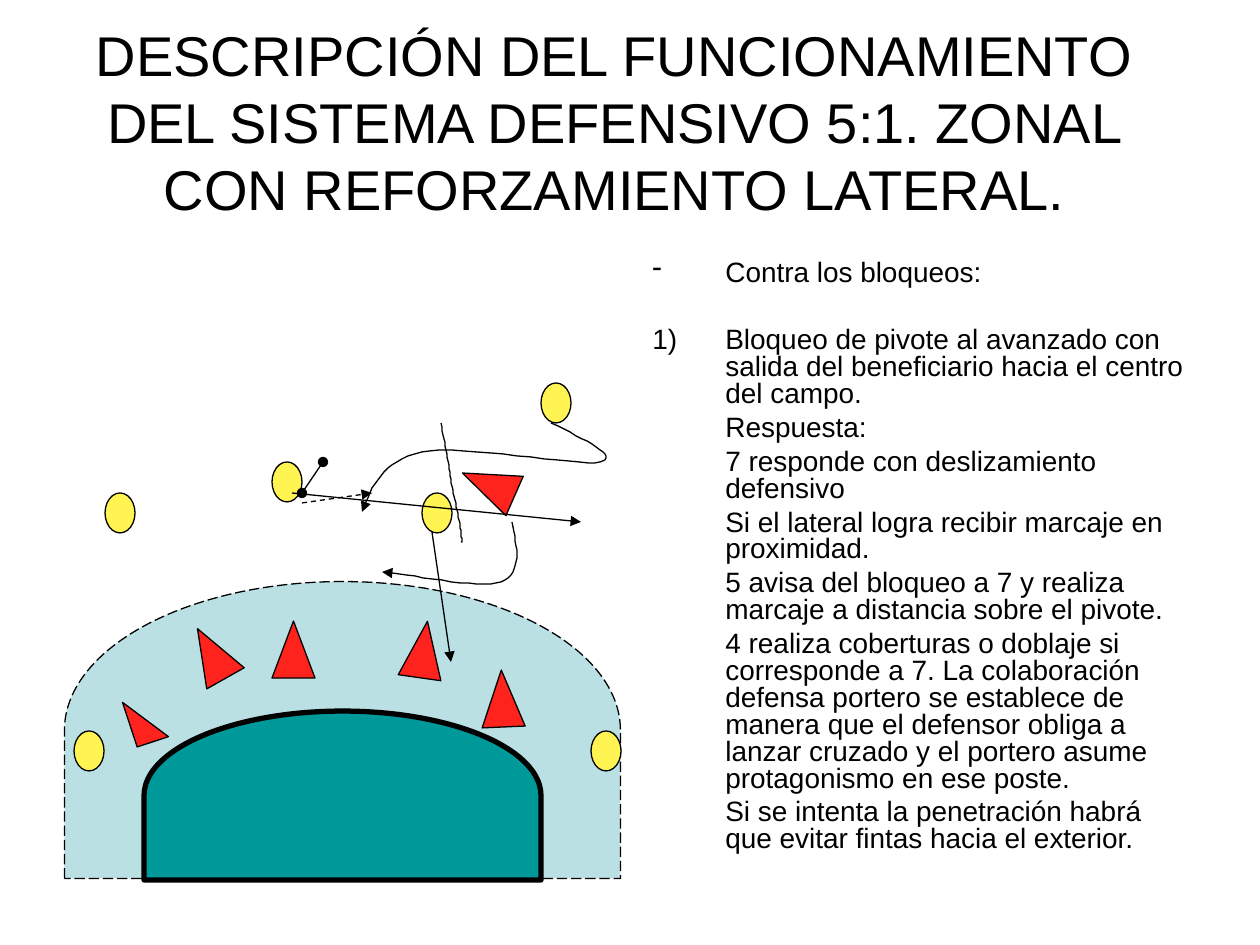
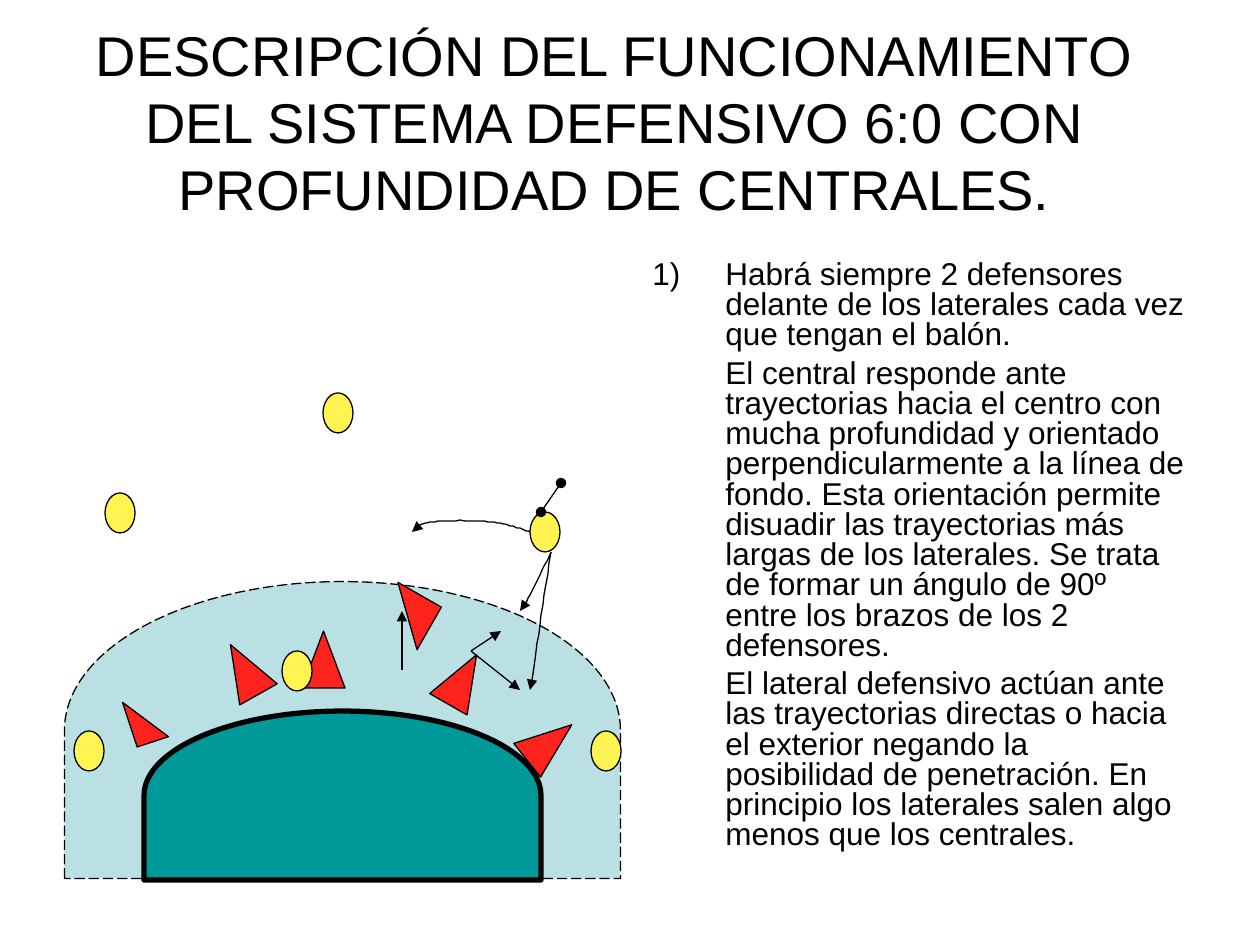
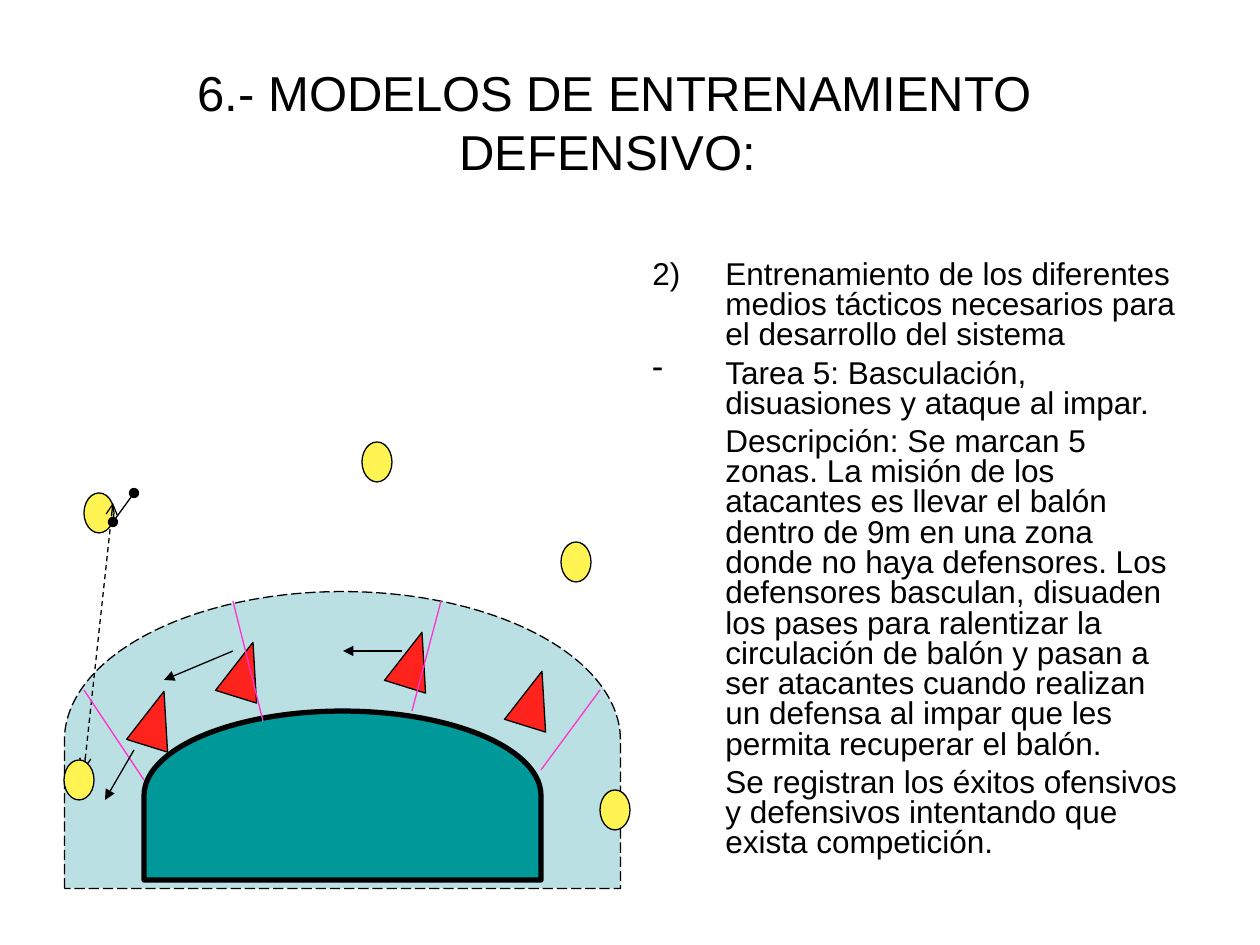
"""Build three handball defence slides with court diagrams and notes."""
from lxml import etree
from pptx import Presentation
from pptx.dml.color import RGBColor
from pptx.enum.dml import MSO_LINE
from pptx.enum.shapes import MSO_CONNECTOR, MSO_SHAPE
from pptx.enum.text import MSO_ANCHOR, MSO_AUTO_SIZE, PP_ALIGN
from pptx.oxml.ns import qn
from pptx.util import Emu, Pt

STRAIGHT = MSO_CONNECTOR.STRAIGHT
DELAY = MSO_SHAPE.FLOWCHART_DELAY
OVAL = MSO_SHAPE.OVAL
TRIANGLE = MSO_SHAPE.ISOSCELES_TRIANGLE
DASH = MSO_LINE.DASH
LONG_DASH = MSO_LINE.LONG_DASH
CENTER = PP_ALIGN.CENTER
MIDDLE = MSO_ANCHOR.MIDDLE
NO_AUTOFIT = MSO_AUTO_SIZE.NONE

PX = 914400 / 126
FONT = "Arial"
COLORS = {
    "ink": "000000",
    "nine_metres": "BBE0E3",
    "six_metres": "009999",
    "defender": "FF231E",
    "attacker": "FFF452",
    "divider": "FF33CC",
}
THIN = 0.75
HANGING = 73
CURVE_STEPS = 16
BASE_ATTACKERS = [(591, 731), (74, 731), (105, 493)]


def px(length):
    """Turn pixels into EMU."""
    return Emu(round(length * PX))


def color(name):
    """Look up a named colour."""
    return RGBColor.from_string(COLORS[name])


def style_runs(paragraph, size):
    """Give the runs of a paragraph the deck font."""
    for run in paragraph.runs:
        run.font.name = FONT
        run.font.size = Pt(size)
        run.font.color.rgb = color("ink")


def set_title(slide, text, size=32):
    """Place and format the slide title."""
    title = slide.shapes.title
    title.left, title.top, title.width, title.height = map(px, (64, 38, 1101, 166))
    frame = title.text_frame
    frame.text = text
    frame.word_wrap = True
    frame.auto_size = NO_AUTOFIT
    frame.vertical_anchor = MIDDLE
    frame.paragraphs[0].alignment = CENTER
    style_runs(frame.paragraphs[0], size)


def set_marker(paragraph, marker):
    """Hang a dash or a number before a paragraph, or only indent it."""
    properties = paragraph._p.get_or_add_pPr()
    properties.set("marL", str(px(HANGING)))
    properties.set("indent", str(-px(HANGING) if marker else 0))
    if not marker:
        etree.SubElement(properties, qn("a:buNone"))
    elif marker == "-":
        etree.SubElement(properties, qn("a:buChar"), char=marker)
    else:
        etree.SubElement(properties, qn("a:buAutoNum"),
                         type="arabicParenR", startAt=marker.rstrip(")"))


def add_notes_column(slide, entries, size, gap, gaps=None):
    """Write (marker, text) entries in the right column."""
    frame = slide.shapes.add_textbox(*map(px, (640, 255, 557, 625))).text_frame
    frame.word_wrap = True
    for index, (marker, text) in enumerate(entries):
        paragraph = frame.paragraphs[0] if index == 0 else frame.add_paragraph()
        paragraph.text = text
        set_marker(paragraph, marker)
        paragraph.line_spacing = 0.8
        if index:
            paragraph.space_before = Pt((gaps or {}).get(index, gap))
        style_runs(paragraph, size)


def add_figure(slide, kind, box, fill, rotation=0, width=THIN, dash=None):
    """Add a filled and outlined preset shape."""
    figure = slide.shapes.add_shape(kind, *map(px, box))
    figure.shadow.inherit = False
    figure.rotation = rotation
    figure.fill.solid()
    figure.fill.fore_color.rgb = color(fill)
    figure.line.color.rgb = color("ink")
    figure.line.width = Pt(width)
    if dash:
        figure.line.dash_style = dash
    return figure


def add_court(slide, outer_top=452):
    """Draw the nine-metre area and the goal area."""
    add_figure(slide, DELAY, (194, outer_top, 297, 556), "nine_metres", 270, dash=LONG_DASH)
    add_figure(slide, DELAY, (258, 597, 169, 397), "six_metres", 270, width=3)


def add_defender(slide, x, y, rotation, size=(43, 57), apex=0.5):
    """Add a defender as a triangle."""
    defender = add_figure(slide, TRIANGLE, (x, y, *size), "defender", rotation)
    defender.adjustments[0] = apex


def add_defenders(slide, places):
    """Add defenders at (x, y, rotation) places."""
    for place in places:
        add_defender(slide, *place)


def add_left_wing_defender(slide):
    """Add the smaller defender of the left wing."""
    add_defender(slide, 129, 696, 341.8, (33, 47), 0)


def add_attackers(slide, places):
    """Add attackers as ovals."""
    for x, y in places:
        add_figure(slide, OVAL, (x, y, 30, 40), "attacker")


def style_stroke(stroke, ink, head, tail, dash=None):
    """Format a line and its two ends."""
    stroke.line.color.rgb = color(ink)
    stroke.line.width = Pt(THIN)
    if dash:
        stroke.line.dash_style = dash
    outline = stroke.line._get_or_add_ln()
    for tag, end in (("a:headEnd", head), ("a:tailEnd", tail)):
        if end:
            etree.SubElement(outline, qn(tag), type=end)


def add_line(slide, ends, ink="ink", head=None, tail="triangle", dash=None):
    """Add a straight line given as x1, y1, x2, y2."""
    line = slide.shapes.add_connector(STRAIGHT, *map(px, ends))
    style_stroke(line, ink, head, tail, dash)
    etree.SubElement(line._element.spPr, qn("a:effectLst"))


def add_ball(slide, ends):
    """Add the short line with round ends beside the ball carrier."""
    add_line(slide, ends, head="oval", tail="oval")


def bezier(nodes, t):
    """Return the point at t on a cubic curve."""
    weights = ((1 - t) ** 3, 3 * t * (1 - t) ** 2, 3 * t * t * (1 - t), t ** 3)
    return tuple(sum(w * node[axis] for w, node in zip(weights, nodes)) for axis in (0, 1))


def add_run_path(slide, nodes, tail="triangle"):
    """Draw a running path through chained cubic curves."""
    points = [bezier(nodes[start:start + 4], step / CURVE_STEPS)
              for start in range(0, len(nodes) - 1, 3)
              for step in range(1, CURVE_STEPS + 1)]
    builder = slide.shapes.build_freeform(*nodes[0], scale=PX)
    builder.add_line_segments(points, close=False)
    run_path = builder.convert_to_shape()
    run_path.shadow.inherit = False
    run_path.fill.background()
    style_stroke(run_path, "ink", None, tail)


def build_five_one(slide):
    """Fill the slide on the 5:1 defence."""
    set_title(slide, "DESCRIPCIÓN DEL FUNCIONAMIENTO DEL SISTEMA DEFENSIVO 5:1. "
                     "ZONAL CON REFORZAMIENTO LATERAL.")
    add_notes_column(slide, [
        ("-", "Contra los bloqueos:"),
        ("1)", "Bloqueo de pivote al avanzado con salida del beneficiario hacia el "
               "centro del campo."),
        ("", "Respuesta:"),
        ("", "7 responde con deslizamiento defensivo"),
        ("", "Si el lateral logra recibir marcaje en proximidad."),
        ("", "5 avisa del bloqueo a 7 y realiza marcaje a distancia sobre el pivote."),
        ("", "4 realiza coberturas o doblaje si corresponde a 7. La colaboración "
             "defensa portero se establece de manera que el defensor obliga a lanzar "
             "cruzado y el portero asume protagonismo en ese poste."),
        ("", "Si se intenta la penetración habrá que evitar fintas hacia el exterior."),
    ], size=16, gap=4, gaps={1: 23})
    add_court(slide)
    add_defenders(slide, [(481, 670, 357.6), (467, 456, 293.8), (402, 621, 8),
                          (272, 621, 0), (190, 625, 330.6)])
    add_left_wing_defender(slide)
    add_attackers(slide, BASE_ATTACKERS + [(272, 462), (541, 383), (422, 493)])
    add_ball(slide, (302, 493, 323, 462))
    add_run_path(slide, [(461, 542), (462, 542), (462, 542), (461, 532), (460, 522),
                         (455, 500), (451, 483), (449, 464), (445, 444), (441, 423)],
                 tail=None)
    add_run_path(slide, [(551, 423), (586, 440), (621, 457), (600, 462), (578, 467),
                         (461, 444), (422, 452), (382, 461), (372, 486), (362, 512)])
    add_run_path(slide, [(512, 522), (517, 548), (523, 573), (501, 582),
                         (480, 590), (403, 573), (382, 572)])
    add_line(slide, (302, 503, 372, 493), dash=DASH)
    for move in ((292, 493, 581, 522), (432, 532, 451, 662)):
        add_line(slide, move)


def build_six_zero(slide):
    """Fill the slide on the 6:0 defence."""
    set_title(slide, "DESCRIPCIÓN DEL FUNCIONAMIENTO DEL SISTEMA DEFENSIVO 6:0 "
                     "CON PROFUNDIDAD DE CENTRALES.")
    add_notes_column(slide, [
        ("1)", "Habrá siempre 2 defensores delante de los laterales cada vez que "
               "tengan el balón."),
        ("", "El central responde ante trayectorias hacia el centro con mucha "
             "profundidad y orientado perpendicularmente a la línea de fondo. Esta "
             "orientación permite disuadir las trayectorias más largas de los "
             "laterales. Se trata de formar un ángulo de 90º entre los brazos de los "
             "2 defensores."),
        ("", "El lateral defensivo actúan ante las trayectorias directas o hacia el "
             "exterior negando la posibilidad de penetración. En principio los "
             "laterales salen algo menos que los centrales."),
    ], size=18, gap=4.5)
    add_court(slide)
    add_defenders(slide, [(441, 651, 29.8), (528, 714, 51.5), (302, 631, 0),
                          (223, 641, 330.6)])
    add_defender(slide, 383, 591, 299.7, (49, 50), 1)
    add_left_wing_defender(slide)
    add_attackers(slide, BASE_ATTACKERS + [(323, 393), (530, 512), (282, 651)])
    add_ball(slide, (541, 512, 561, 483))
    add_run_path(slide, [(530, 532), (519, 528), (508, 524), (491, 522), (475, 520),
                         (445, 520), (432, 522), (418, 524), (415, 528), (412, 532)])
    add_run_path(slide, [(551, 552), (539, 577), (528, 601), (520, 611)])
    add_run_path(slide, [(551, 552), (542, 610), (534, 668), (530, 690)])
    for move in ((471, 651, 501, 631), (471, 651, 520, 690), (402, 670, 402, 611)):
        add_line(slide, move)


def build_training(slide):
    """Fill the slide on defensive training."""
    set_title(slide, "6.- MODELOS DE ENTRENAMIENTO DEFENSIVO: ", size=28)
    add_notes_column(slide, [
        ("2)", "Entrenamiento de los diferentes medios tácticos necesarios para el "
               "desarrollo del sistema"),
        ("-", "Tarea 5: Basculación, disuasiones y ataque al impar."),
        ("", "Descripción: Se marcan 5 zonas. La misión de los atacantes es llevar el "
             "balón dentro de 9m en una zona donde no haya defensores. Los defensores "
             "basculan, disuaden los pases para ralentizar la circulación de balón y "
             "pasan a ser atacantes cuando realizan un defensa al impar que les "
             "permita recuperar el balón."),
        ("", "Se registran los éxitos ofensivos y defensivos intentando que exista "
             "competición."),
    ], size=18, gap=4.5)
    add_court(slide, outer_top=462)
    add_attackers(slide, [(561, 542), (84, 493)])
    add_ball(slide, (113, 522, 134, 493))
    add_line(slide, (84, 770, 113, 503), head="arrow", tail="arrow", dash=DASH)
    add_defenders(slide, [(x, y, 17.3) for x, y in
                          ((392, 631), (512, 670), (134, 690), (223, 641))])
    add_attackers(slide, [(600, 790), (64, 760), (362, 442)])
    for divider in ((84, 690, 144, 780), (233, 601, 263, 721),
                    (441, 601, 412, 711), (600, 690, 541, 770)):
        add_line(slide, divider, "divider", tail=None)
    for move in ((134, 750, 105, 800), (233, 651, 164, 680), (402, 651, 343, 651)):
        add_line(slide, move)


def main():
    """Build and save the deck."""
    deck = Presentation()
    deck.slide_width, deck.slide_height = px(1260), px(945)
    for build in (build_five_one, build_six_zero, build_training):
        build(deck.slides.add_slide(deck.slide_layouts[5]))
    deck.save("out.pptx")


if __name__ == "__main__":
    main()
